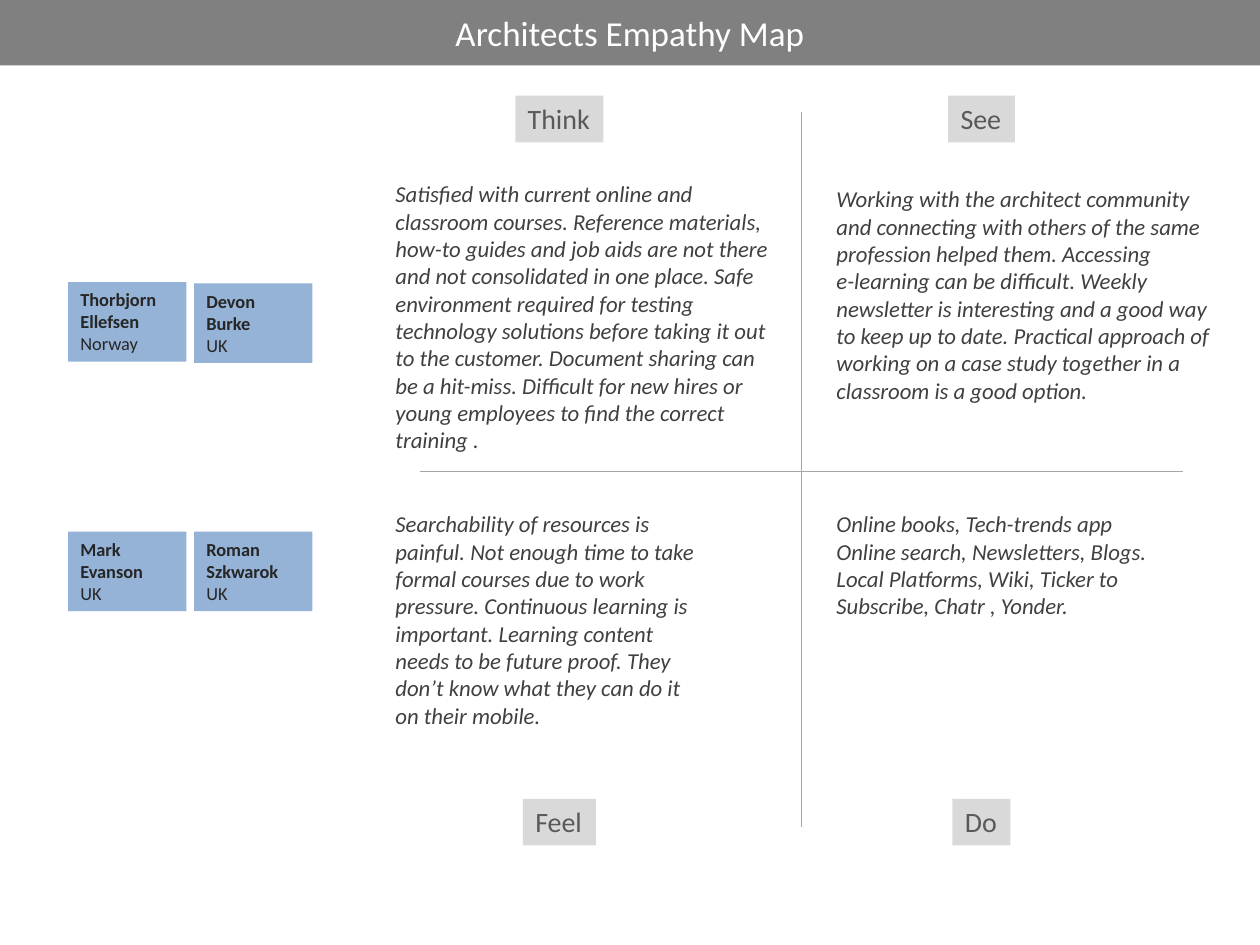
from typing import NamedTuple, Optional

from pptx import Presentation
from pptx.dml.color import RGBColor
from pptx.enum import shapes, text
from pptx.oxml.ns import qn
from pptx.util import Inches, Pt

WHITE = RGBColor(0xFF, 0xFF, 0xFF)
BANNER_GREY = RGBColor(0x80, 0x80, 0x80)
AXIS_GREY = RGBColor(0xA6, 0xA6, 0xA6)
LABEL_FILL = RGBColor(0xD9, 0xD9, 0xD9)
LABEL_INK = RGBColor(0x59, 0x59, 0x59)
CARD_BLUE = RGBColor(0x95, 0xB3, 0xD7)
CARD_INK = RGBColor(0x26, 0x26, 0x26)
NOTE_INK = RGBColor(0x40, 0x40, 0x40)

LEFT_CENTRE, RIGHT_CENTRE = 4.44, 7.79
LABEL_TOP, LABEL_BOTTOM = 0.76, 6.34
LEFT_NOTES, RIGHT_NOTES = 3.04, 6.54


class Box(NamedTuple):
    left: float
    top: float
    width: float
    height: float


class Label(NamedTuple):
    word: str
    centre: float
    top: float
    width: float


class Person(NamedTuple):
    name: str
    country: str
    left: float
    top: float


class Note(NamedTuple):
    paragraphs: list[str]
    box: Box


LABELS = [
    Label("Think", LEFT_CENTRE, LABEL_TOP, 0.7),
    Label("See", RIGHT_CENTRE, LABEL_TOP, 0.53),
    Label("Feel", LEFT_CENTRE, LABEL_BOTTOM, 0.58),
    Label("Do", RIGHT_CENTRE, LABEL_BOTTOM, 0.46),
]

PEOPLE = [
    Person("Thorbjorn Ellefsen ", "Norway", 0.54, 2.24),
    Person("Devon Burke\n", "UK", 1.54, 2.25),
    Person("Mark Evanson\n", "UK", 0.54, 4.22),
    Person("Roman\nSzkwarok\n", "UK", 1.54, 4.22),
]

NOTES = [
    Note(["Satisfied with current online and classroom courses. Reference materials, "
          "how-to guides and job aids are not there and not consolidated in one place. "
          "Safe environment required for testing technology solutions before taking it "
          "out to the customer. Document sharing can be a hit-miss. Difficult for new "
          "hires or young employees to find the correct training ."],
         Box(LEFT_NOTES, 1.38, 3.15, 2.29)),
    Note(["Working with the architect community and connecting with others of the same "
          "profession helped them. Accessing\ne-learning can be difficult. Weekly "
          "newsletter is interesting and a good way to keep up to date. Practical "
          "approach of working on a case study together in a classroom is a good option."],
         Box(RIGHT_NOTES, 1.42, 3.19, 1.85)),
    Note(["Searchability of resources is painful. Not enough time to take formal courses "
          "due to work pressure. Continuous learning is important. Learning content needs "
          "to be future proof. They don’t know what they can do it on their mobile."],
         Box(LEFT_NOTES, 4, 2.68, 1.85)),
    Note(["Online books, Tech-trends app",
          "Online search, Newsletters, Blogs. Local Platforms, Wiki, Ticker to "
          "Subscribe, Chatr , Yonder."],
         Box(RIGHT_NOTES, 4, 2.68, 0.98)),
]


def add_text(slide, box: Box, paragraphs: list[list[tuple[str, bool]]], *,
             size: float, color: RGBColor, fill: Optional[RGBColor] = None,
             italic: bool = False, wrap: bool = True, grow: bool = True,
             align=text.PP_ALIGN.LEFT, anchor=text.MSO_ANCHOR.TOP) -> None:
    """Add a filled rectangle or plain text box; each paragraph lists (words, bold)."""
    place = [Inches(length) for length in box]
    if fill is None:
        shape = slide.shapes.add_textbox(*place)
    else:
        shape = slide.shapes.add_shape(shapes.MSO_SHAPE.RECTANGLE, *place)
        shape.shadow.inherit = False
        shape.fill.solid()
        shape.fill.fore_color.rgb = fill
        shape.line.fill.background()
    frame = shape.text_frame
    frame.word_wrap = wrap
    frame.auto_size = (text.MSO_AUTO_SIZE.SHAPE_TO_FIT_TEXT if grow
                       else text.MSO_AUTO_SIZE.NONE)
    frame.vertical_anchor = anchor
    for number, pieces in enumerate(paragraphs):
        paragraph = frame.add_paragraph() if number else frame.paragraphs[0]
        paragraph.alignment = align
        for words, bold in pieces:
            for index, line in enumerate(words.split("\n")):
                if index:
                    paragraph.add_line_break()
                if line:
                    run = paragraph.add_run()
                    run.text = line
                    font = run.font
                    font.name, font.size = "Calibri", Pt(size)
                    font.bold, font.italic = bold, italic
                    font.color.rgb = color


def add_axis(slide, x1: float, y1: float, x2: float, y2: float) -> None:
    axis = slide.shapes.add_connector(
        shapes.MSO_CONNECTOR.STRAIGHT, Inches(x1), Inches(y1), Inches(x2), Inches(y2))
    axis.line.color.rgb = AXIS_GREY
    axis.line.width = Pt(0.75)
    properties = axis.element.spPr
    properties.append(properties.makeelement(qn("a:effectLst"), {}))


def add_label(slide, label: Label) -> None:
    box = Box(label.centre - label.width / 2, label.top, label.width, 0.37)
    add_text(slide, box, [[(label.word, False)]], size=16, color=LABEL_INK,
             fill=LABEL_FILL, wrap=False)


def add_person(slide, person: Person) -> None:
    add_text(slide, Box(person.left, person.top, 0.94, 0.63),
             [[(person.name, True), (person.country, False)]],
             size=10.5, color=CARD_INK, fill=CARD_BLUE)


def add_note(slide, note: Note) -> None:
    add_text(slide, note.box, [[(words, False)] for words in note.paragraphs],
             size=13, color=NOTE_INK, italic=True)


def main() -> None:
    deck = Presentation()
    deck.slide_width, deck.slide_height = Inches(10), Inches(7.5)
    slide = deck.slides.add_slide(deck.slide_layouts[6])

    add_axis(slide, 3.33, 3.74, 9.39, 3.74)
    add_axis(slide, 6.36, 0.89, 6.36, 6.56)
    add_text(slide, Box(0, 0, 10, 0.52), [[("Architects Empathy Map", False)]],
             size=20, color=WHITE, fill=BANNER_GREY, grow=False,
             align=text.PP_ALIGN.CENTER, anchor=text.MSO_ANCHOR.MIDDLE)
    for label in LABELS:
        add_label(slide, label)
    for person in PEOPLE:
        add_person(slide, person)
    for note in NOTES:
        add_note(slide, note)

    deck.save("out.pptx")


if __name__ == "__main__":
    main()
